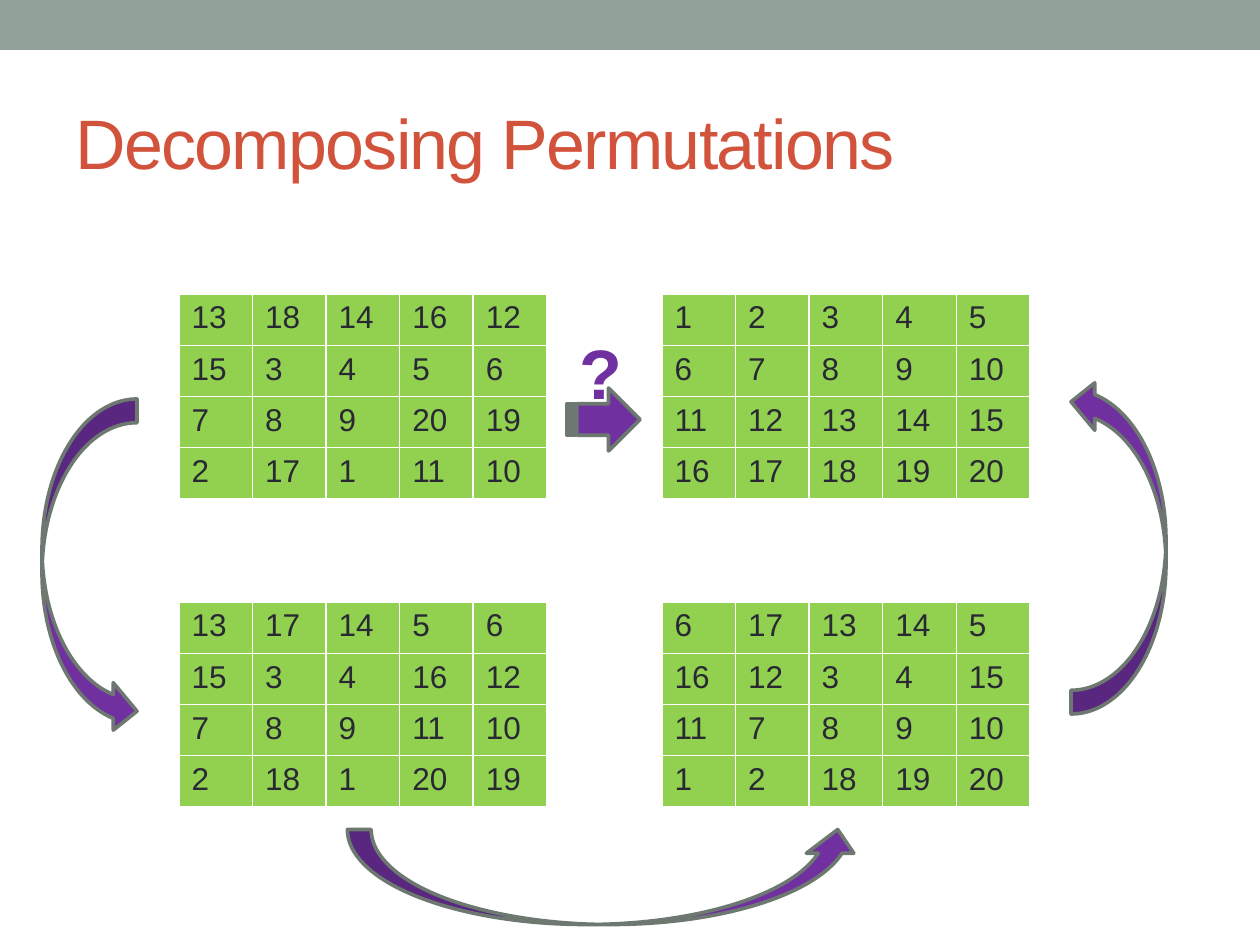
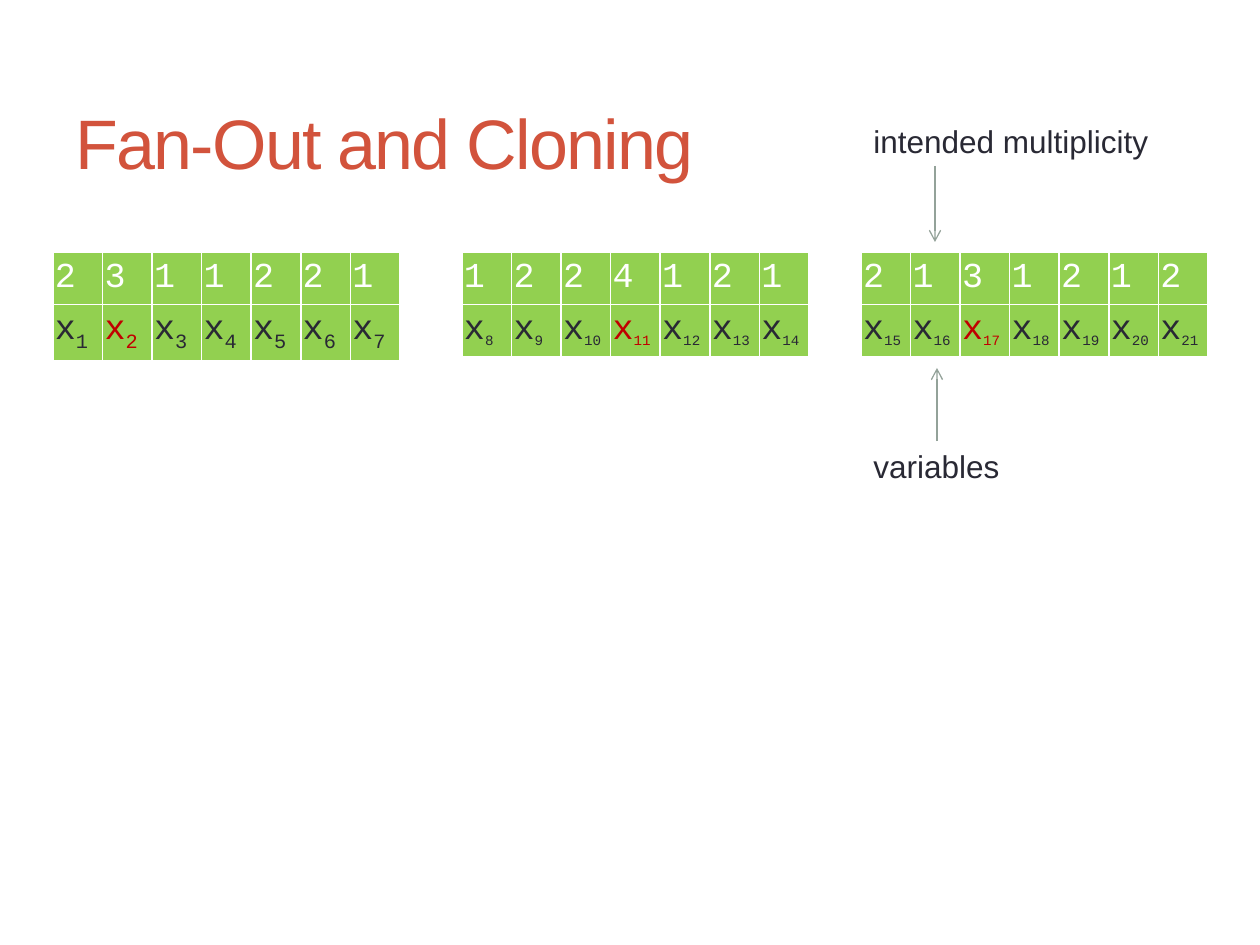
from lxml.etree import SubElement
from pptx import Presentation
from pptx.dml.color import RGBColor
from pptx.enum.shapes import MSO_CONNECTOR, MSO_SHAPE
from pptx.enum.text import MSO_ANCHOR, MSO_AUTO_SIZE, PP_ALIGN
from pptx.oxml.ns import qn
from pptx.util import Emu, Pt

RECT = MSO_SHAPE.RECTANGLE
STRIPED = MSO_SHAPE.STRIPED_RIGHT_ARROW
CURVED = MSO_SHAPE.CURVED_RIGHT_ARROW
STRAIGHT = MSO_CONNECTOR.STRAIGHT
LEFT = PP_ALIGN.LEFT
MIDDLE = MSO_ANCHOR.MIDDLE
FIT, FIXED = MSO_AUTO_SIZE.SHAPE_TO_FIT_TEXT, MSO_AUTO_SIZE.NONE

SAGE = RGBColor(0x93, 0xA2, 0x99)
SLATE = RGBColor(0x6D, 0x78, 0x71)
RUST = RGBColor(0xD2, 0x53, 0x3C)
INK = RGBColor(0x29, 0x29, 0x34)
GREEN = RGBColor(0x92, 0xD0, 0x50)
PURPLE = RGBColor(0x70, 0x30, 0xA0)
RED = RGBColor(0xC0, 0x00, 0x00)
WHITE = RGBColor(0xFF, 0xFF, 0xFF)

SANS, MONO = "Arial", "Courier New"
SCALE = 914400 / 126

START = ((13, 18, 14, 16, 12), (15, 3, 4, 5, 6), (7, 8, 9, 20, 19), (2, 17, 1, 11, 10))
SORTED = [range(first, first + 5) for first in (1, 6, 11, 16)]
COLUMNS = ((13, 17, 14, 5, 6), (15, 3, 4, 16, 12), (7, 8, 9, 11, 10), (2, 18, 1, 20, 19))
ROWS = ((6, 17, 13, 14, 5), (16, 12, 3, 4, 15), (11, 7, 8, 9, 10), (1, 2, 18, 19, 20))


def px(count):
    return Emu(round(count * SCALE))


def area(*box):
    return [px(side) for side in box]


def write(frame, text, size=18, color=INK, font=SANS, bold=False, base=0, space=0):
    line = frame.paragraphs[0]
    line.alignment = LEFT
    run = line.add_run()
    run.text = str(text)
    run.font.size, run.font.name, run.font.bold = Pt(size), font, bold
    run.font.color.rgb = color
    props = run._r.get_or_add_rPr()
    if base:
        props.set("baseline", str(base * 1000))
    if space:
        props.set("spc", str(space * 100))


def start(deck, title):
    slide = deck.slides.add_slide(deck.slide_layouts[5])
    head = slide.shapes.title
    head.left, head.top, head.width, head.height = area(63, 73, 1134, 136)
    frame = head.text_frame
    frame.auto_size, frame.vertical_anchor = FIXED, MIDDLE
    write(frame, title, size=40, color=RUST, space=-1)
    return slide


def shape(slide, kind, box, fill, edge=None, turn=0):
    item = slide.shapes.add_shape(kind, *area(*box))
    item.shadow.inherit = False
    item.rotation = turn
    item.fill.solid()
    item.fill.fore_color.rgb = fill
    if edge is None:
        item.line.fill.background()
    else:
        item.line.color.rgb, item.line.width = edge, Pt(2.08)


def label(slide, box, text, wrap=False, **style):
    item = slide.shapes.add_textbox(*area(*box))
    frame = item.text_frame
    frame.word_wrap, frame.auto_size = wrap, FIT
    write(frame, text, **style)
    return item


def pointer(slide, x, top, end, origin=None):
    line = slide.shapes.add_connector(STRAIGHT, *area(x, top, x, end))
    if origin is not None:
        line.begin_connect(origin, 0)
    line.line.color.rgb, line.line.width = SAGE, Pt(0.75)
    props = line._element.spPr
    SubElement(props.find(qn("a:ln")), qn("a:tailEnd"), type="arrow")
    SubElement(props, qn("a:effectLst"))


def grid(slide, box, rows, cols):
    table = slide.shapes.add_table(rows, cols, *area(*box)).table
    for col in table.columns:
        col.width = px(box[2] / cols)
    for cell in table.iter_cells():
        cell.fill.solid()
        cell.fill.fore_color.rgb = GREEN
    return table


def matrix(slide, x, y, values):
    table = grid(slide, (x, y, 368, 205), 4, 5)
    for r, row in enumerate(values):
        for c, value in enumerate(row):
            write(table.cell(r, c).text_frame, value)


def bank(slide, x, y, counts, first, hot, sub):
    table = grid(slide, (x, y, 347, 104), 2, 7)
    for cell in table.iter_cells():
        cell.margin_left = cell.margin_right = px(2)
    for c, count in enumerate(counts):
        write(table.cell(0, c).text_frame, count, size=20, color=WHITE, font=MONO)
        tone = RED if first + c == hot else INK
        frame = table.cell(1, c).text_frame
        write(frame, "x", size=20, color=tone, font=MONO)
        write(frame, first + c, size=sub, color=tone, font=MONO, base=-25)


def permute(deck):
    slide = start(deck, "Decomposing Permutations")
    shape(slide, RECT, (0, 0, 1260, 50), SAGE)
    for x, y, values in ((179, 294, START), (662, 294, SORTED),
                         (179, 602, COLUMNS), (662, 602, ROWS)):
        matrix(slide, x, y, values)
    shape(slide, STRIPED, (567, 388, 73, 63), PURPLE, SLATE)
    label(slide, (567, 323, 73, 97), "?", wrap=True, size=40, color=PURPLE, bold=True)
    for box, turn in (((42, 399, 95, 336), 0), ((557, 620, 95, 514), 270),
                      ((1071, 378, 95, 336), 180)):
        shape(slide, CURVED, box, PURPLE, SLATE, turn)


def clone(deck):
    slide = start(deck, "Fan-Out and Cloning")
    for x, counts, first, hot, sub in ((53, "2311221", 1, 2, 20),
                                       (462, "1224121", 8, 11, 14),
                                       (861, "2131212", 15, 17, 14)):
        bank(slide, x, 252, counts, first, hot, sub)
    names = label(slide, (861, 441, 152, 50), "variables")
    label(slide, (861, 116, 302, 50), "intended multiplicity")
    pointer(slide, 937, 441, 368, names)
    pointer(slide, 935, 166, 242)


def main():
    deck = Presentation()
    deck.slide_width, deck.slide_height = px(1260), px(945)
    permute(deck)
    clone(deck)
    deck.save("out.pptx")


if __name__ == "__main__":
    main()
